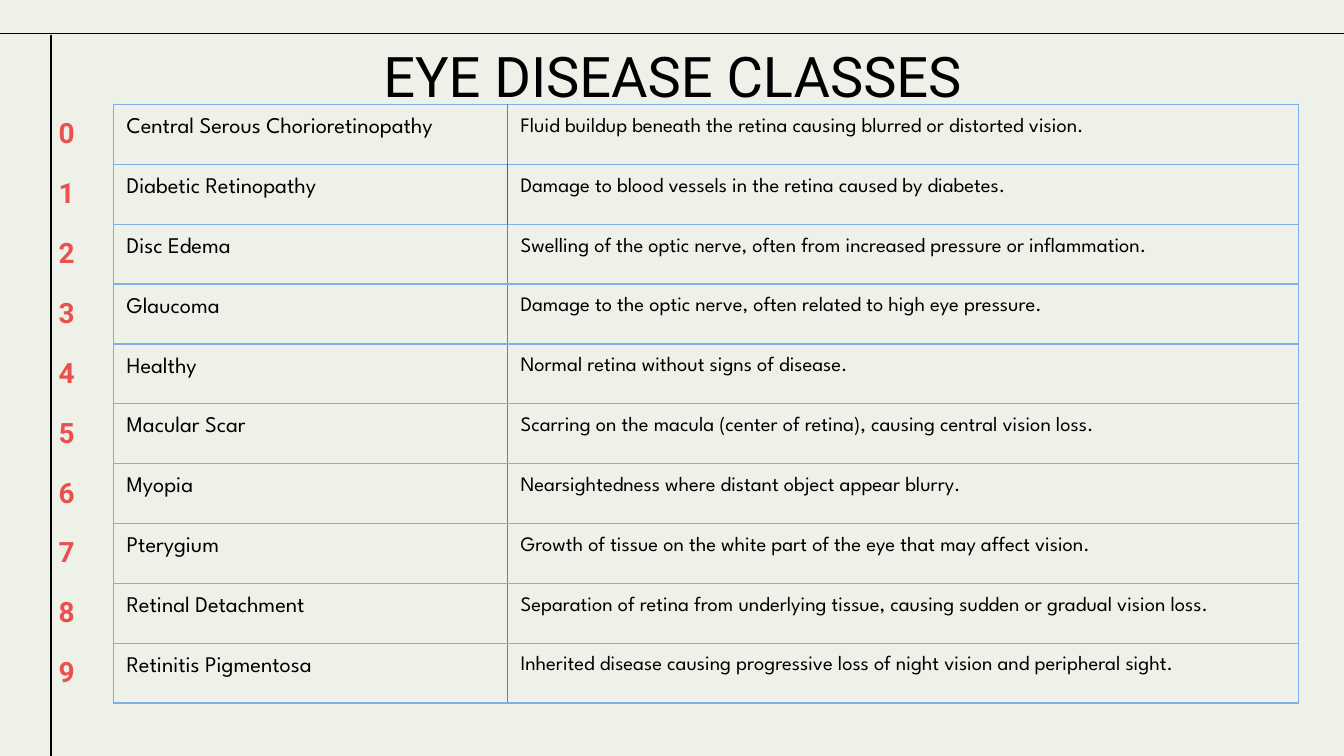
"""Build the slide that lists the eye disease classes."""
from dataclasses import dataclass

from lxml import etree
from pptx import Presentation
from pptx.dml.color import RGBColor
from pptx.enum.shapes import MSO_CONNECTOR
from pptx.enum.text import MSO_ANCHOR, MSO_AUTO_SIZE, PP_ALIGN
from pptx.oxml.ns import qn
from pptx.util import Pt

STRAIGHT = MSO_CONNECTOR.STRAIGHT
TOP = MSO_ANCHOR.TOP
FIXED = MSO_AUTO_SIZE.NONE
CENTER = PP_ALIGN.CENTER
PLAIN = "{2D5ABB26-0587-4C30-8999-92F81FD0307C}"


@dataclass(frozen=True)
class Theme:
    """Colours, fonts, type sizes and line weight."""
    paper: str = "EEF1E8"
    ink: str = "000000"
    red: str = "EB504F"
    dark: str = "C03433"
    blue: str = "7FAFEA"
    head: str = "Roboto"
    body: str = "League Spartan"
    title: float = 30
    index: float = 15
    name: float = 12
    note: float = 11
    rule: float = 0.75
    inset: float = 7.2


class Deck:
    """Hold the theme and the slide being drawn."""

    def __init__(self, show, theme):
        self.theme = theme
        self.slide = show.slides.add_slide(show.slide_layouts[5])
        fill = self.slide.background.fill
        fill.solid()
        fill.fore_color.rgb = RGBColor.from_string(theme.paper)

    def style(self, para, color, **values):
        """Apply font values to a paragraph's runs."""
        for run in para.runs:
            for key, value in values.items():
                setattr(run.font, key, value)
            run.font.color.rgb = RGBColor.from_string(color)

    def pad(self, target, **more):
        """Set even margins, then any other values."""
        sides = ("left", "top", "right", "bottom")
        values = {f"margin_{side}": Pt(self.theme.inset) for side in sides}
        for key, value in (values | more).items():
            setattr(target, key, value)

    def title(self, text, left, top, width, height):
        """Place and format the title."""
        shape = self.slide.shapes.title
        box = {"left": left, "top": top, "width": width, "height": height}
        for key, value in box.items():
            setattr(shape, key, Pt(value))
        frame = shape.text_frame
        frame.text = text
        self.pad(frame, margin_top=Pt(9.2), word_wrap=True,
                 vertical_anchor=TOP, auto_size=FIXED)
        para = frame.paragraphs[0]
        para.alignment = CENTER
        look = self.theme
        self.style(para, look.ink, name=look.head, size=Pt(look.title))

    def line(self, *ends):
        """Draw a straight rule."""
        rule = self.slide.shapes.add_connector(STRAIGHT, *map(Pt, ends))
        rule.line.width = Pt(self.theme.rule)
        rule.line.color.rgb = RGBColor.from_string(self.theme.ink)
        etree.SubElement(rule._element.spPr, qn("a:effectLst"))

    def edge(self, cell, **colors):
        """Colour the cell borders named by side."""
        props = cell._tc.get_or_add_tcPr()
        order = [side for side in "LRTB" if side in colors]
        for spot, side in enumerate(order):
            line = etree.Element(qn(f"a:ln{side}"), w=str(Pt(self.theme.rule)))
            fill = etree.SubElement(line, qn("a:solidFill"))
            etree.SubElement(fill, qn("a:srgbClr"), val=colors[side])
            props.insert(spot, line)

    def table(self, rows, left, top, widths, height):
        """Add the numbered table of names and notes."""
        look = self.theme
        frame = self.slide.shapes.add_table(
            len(rows), len(widths), Pt(left), Pt(top),
            Pt(sum(widths)), Pt(height * len(rows)))
        table = frame.table
        table.first_row = table.horz_banding = False
        table._tbl.tblPr.find(qn("a:tableStyleId")).text = PLAIN
        for column, width in zip(table.columns, widths):
            column.width = Pt(width)
        fonts = (
            {"color": look.red, "name": look.head, "size": Pt(look.index), "bold": True},
            {"color": look.ink, "name": look.body, "size": Pt(look.name)},
            {"color": look.ink, "name": look.body, "size": Pt(look.note)},
        )
        for num, (name, note) in enumerate(rows):
            table.rows[num].height = Pt(height)
            split = look.dark if num == 1 else look.red
            frames = (
                {"R": look.blue},
                dict.fromkeys("LTB", look.blue) | {"R": split},
                dict.fromkeys("RTB", look.blue) | {"L": split},
            )
            for col, text in enumerate((str(num), name, note)):
                cell = table.cell(num, col)
                cell.text = text
                cell.fill.background()
                self.pad(cell, vertical_anchor=TOP)
                self.style(cell.text_frame.paragraphs[0], **fonts[col])
                self.edge(cell, **frames[col])


ROWS = (
    ("Central Serous Chorioretinopathy",
     "Fluid buildup beneath the retina causing blurred or distorted vision."),
    ("Diabetic Retinopathy",
     "Damage to blood vessels in the retina caused by diabetes."),
    ("Disc Edema",
     "Swelling of the optic nerve, often from increased pressure or inflammation."),
    ("Glaucoma",
     "Damage to the optic nerve, often related to high eye pressure."),
    ("Healthy", "Normal retina without signs of disease."),
    ("Macular Scar",
     "Scarring on the macula (center of retina), causing central vision loss."),
    ("Myopia", "Nearsightedness where distant object appear blurry."),
    ("Pterygium",
     "Growth of tissue on the white part of the eye that may affect vision."),
    ("Retinal Detachment",
     "Separation of retina from underlying tissue, causing sudden or gradual vision loss."),
    ("Retinitis Pigmentosa",
     "Inherited disease causing progressive loss of night vision and peripheral sight."),
)


def main():
    """Build and save the slide."""
    show = Presentation()
    show.slide_width, show.slide_height = Pt(720), Pt(405)
    deck = Deck(show, Theme())
    deck.line(-3.6, 18, 721.4, 18)
    deck.line(27.4, 18.7, 27.4, 405)
    deck.title("EYE DISEASE CLASSES", 56.9, 13, 607, 45.4)
    deck.table(ROWS, 24.2, 56, (36.5, 211, 424), 30.4)
    show.save("out.pptx")


if __name__ == "__main__":
    main()
